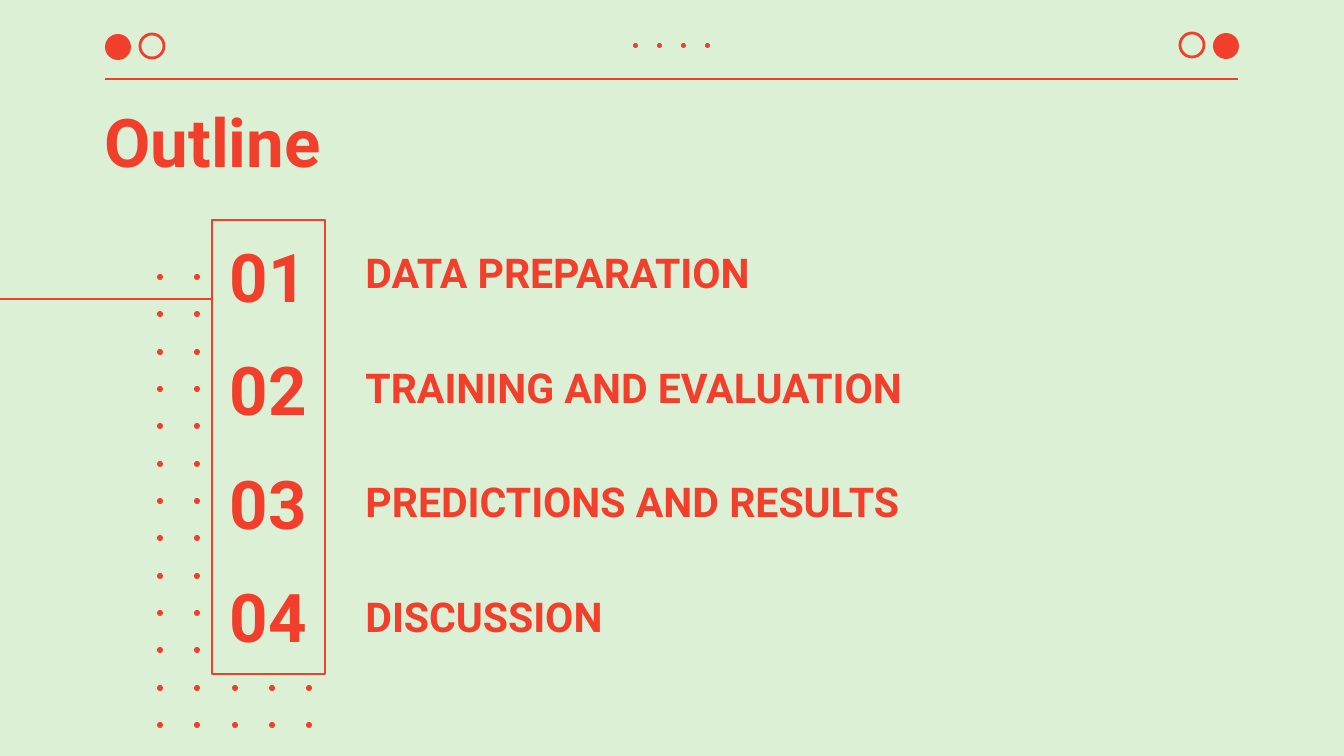
import pptx
import pptx.dml.color
import pptx.enum.shapes
import pptx.enum.text
import pptx.util
from lxml import etree

PX = 914400 / 134.4
RED, MINT = "F13F2C", "DCF0D6"
A = "http://schemas.openxmlformats.org/drawingml/2006/main"
SHAPE = pptx.enum.shapes.MSO_SHAPE
LEFT, CENTER = pptx.enum.text.PP_ALIGN.LEFT, pptx.enum.text.PP_ALIGN.CENTER


def color(value):
    return pptx.dml.color.RGBColor.from_string(value)


def box(*lengths):
    return [round(length * PX) for length in lengths]


deck = pptx.Presentation()
deck.slide_width, deck.slide_height = box(1344, 756)
# The Comparison layout offers a title and four body placeholders
slide = deck.slides.add_slide(deck.slide_layouts[4])
slide.background.fill.solid()
slide.background.fill.fore_color.rgb = color(MINT)

# Solid dots: header dots, corner discs and the dot grid beside the numbers
dots = [(633 + 24 * i, 43, 5) for i in range(4)]
dots += [(105, 34, 26), (1213, 33, 26)]
for row in range(13):
    for column in range(5 if row > 10 else 2):
        dots.append((157 + round(column * 112 / 3), 274 + round(row * 112 / 3), 6))
for x, y, size in dots:
    dot = slide.shapes.add_shape(SHAPE.OVAL, *box(x, y, size, size))
    dot.shadow.inherit = False
    dot.fill.solid()
    dot.fill.fore_color.rgb = color(RED)
    dot.line.fill.background()

# Header rings
for x, y in [(140, 34), (1180, 33)]:
    ring = slide.shapes.add_shape(SHAPE.OVAL, *box(x, y, 24, 24))
    ring.shadow.inherit = False
    ring.fill.background()
    ring.line.color.rgb = color(RED)
    ring.line.width = pptx.util.Pt(1.5)

# Frame behind the numbers
frame = slide.shapes.add_shape(SHAPE.RECTANGLE, *box(212, 220, 113, 454))
frame.shadow.inherit = False
frame.fill.solid()
frame.fill.fore_color.rgb = color(MINT)
frame.line.color.rgb = color(RED)
frame.line.width = pptx.util.Pt(0.75)

# Header rule and the line running in from the left edge
for x1, x2, y in [(105, 1238, 79), (0, 212, 299)]:
    rule = slide.shapes.add_connector(
        pptx.enum.shapes.MSO_CONNECTOR.STRAIGHT, *box(x1, y, x2, y))
    rule.line.color.rgb = color(RED)
    rule.line.width = pptx.util.Pt(0.75)
    etree.SubElement(rule._element.spPr, f"{{{A}}}effectLst")

# Title, topics and their numbers
title, *topics = slide.placeholders
texts = [(title, "Outline", (91, 87, 1148, 95), 36, LEFT)]
names = ["DATA PREPARATION", "TRAINING AND EVALUATION",
         "PREDICTIONS AND RESULTS", "DISCUSSION"]
for i, (topic, name) in enumerate(zip(topics, names)):
    texts.append((topic, name, (352, 234 + round(i * 114.7), 672, 75), 22, LEFT))
    number = slide.shapes.add_textbox(0, 0, 0, 0)
    texts.append((number, f"0{i + 1}", (212, 222 + round(i * 113.3), 113, 95), 36, CENTER))

for holder, words, place, size, align in texts:
    holder.left, holder.top, holder.width, holder.height = box(*place)
    frame_text = holder.text_frame
    frame_text.word_wrap = True
    frame_text.auto_size = pptx.enum.text.MSO_AUTO_SIZE.NONE
    frame_text.vertical_anchor = pptx.enum.text.MSO_ANCHOR.TOP
    frame_text.margin_left = frame_text.margin_right = pptx.util.Inches(0.1)
    frame_text.margin_top = frame_text.margin_bottom = pptx.util.Inches(0.1)
    paragraph = frame_text.paragraphs[0]
    paragraph.text = words
    properties = paragraph._p.get_or_add_pPr()
    properties.set("marL", "0")
    properties.set("indent", "0")
    etree.SubElement(properties, f"{{{A}}}buNone")
    paragraph.alignment = align
    paragraph.space_before = pptx.util.Pt(0)
    paragraph.font.name = "Roboto"
    paragraph.font.size = pptx.util.Pt(size)
    paragraph.font.bold = True
    paragraph.font.color.rgb = color(RED)

deck.save("out.pptx")
